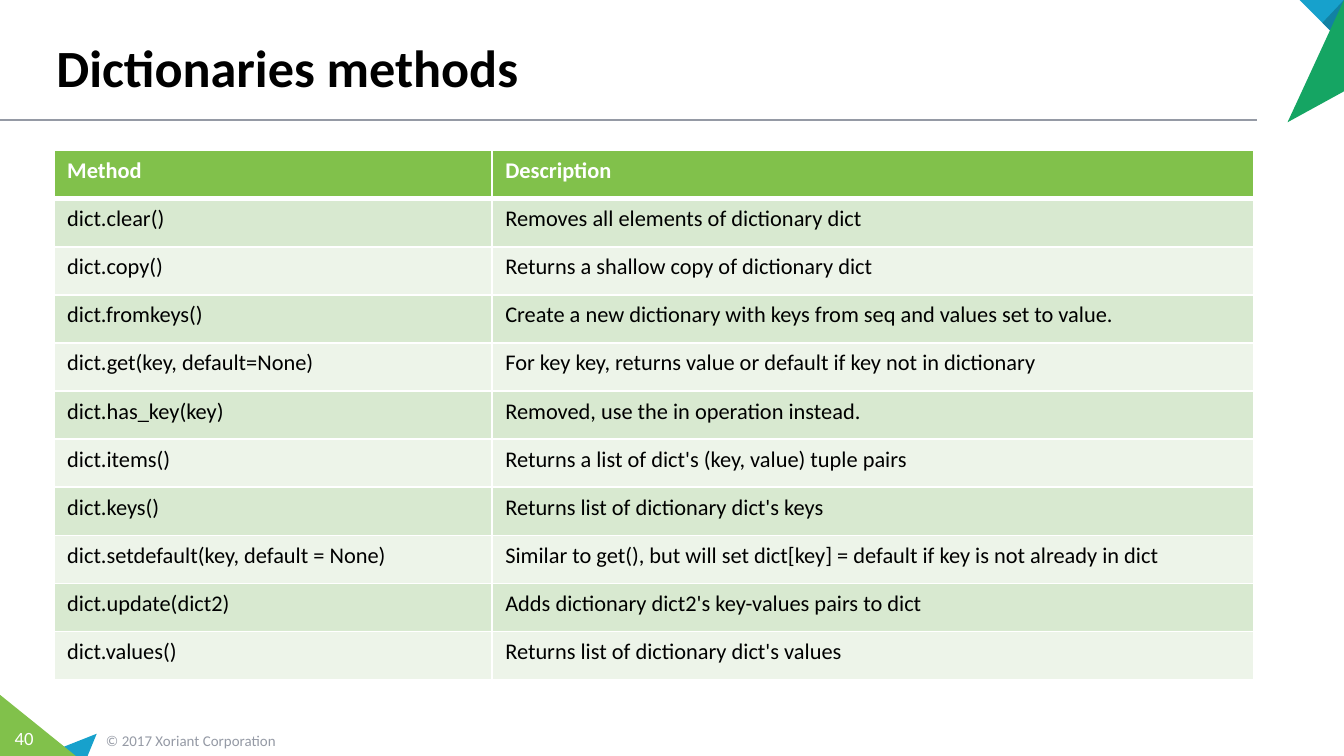
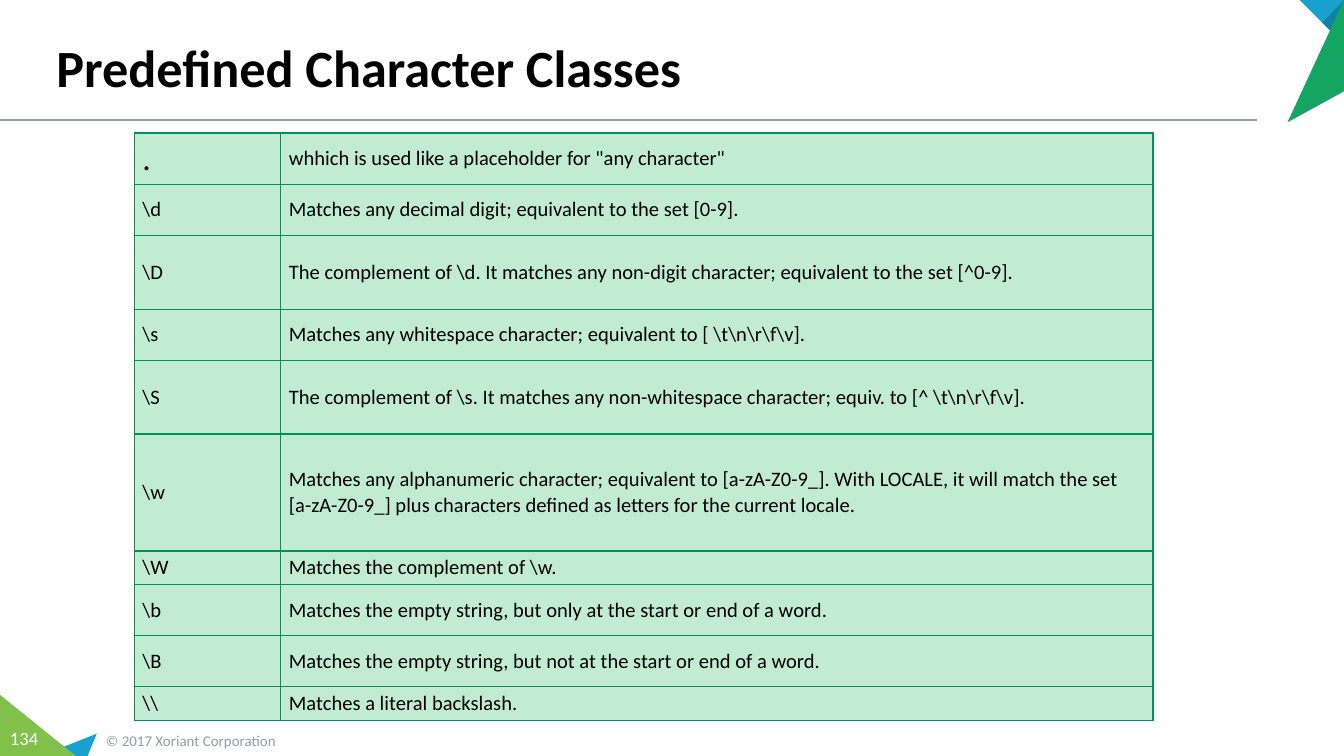
"""Builds two reference slides on Python dictionaries and regular expressions."""
from dataclasses import dataclass
from typing import NamedTuple

from lxml.etree import SubElement as Sub
from pptx import Presentation as Deck
from pptx.dml.color import RGBColor as Rgb
from pptx.enum.shapes import MSO_CONNECTOR as Link
from pptx.enum.text import MSO_ANCHOR as Anchor, MSO_AUTO_SIZE as Fit, PP_ALIGN as Align
from pptx.oxml.ns import qn
from pptx.util import Inches, Pt

FACE = "Calibri"
BLACK, WHITE, GREY = "000000", "FFFFFF", "959AA5"
LIME, GREEN, BLUE, NAVY = "81C14B", "15A563", "17A1CC", "1281A3"
BANDS = ("D8E9D0", "EDF4E9")
MINT, EDGE = "C1ECD2", "009158"


class Box(NamedTuple):
    """Holds a place and a size in inches."""
    left: float
    top: float
    width: float
    height: float


class Font(NamedTuple):
    """Holds the look of a run."""
    size: float
    tint: str = BLACK
    bold: bool = False


class Wedge(NamedTuple):
    """Holds a filled triangle in inches."""
    tint: str
    points: tuple


class Note(NamedTuple):
    """Holds the look of a footer box."""
    box: Box
    font: Font
    side: float
    anchor: Anchor
    align: Align


@dataclass
class Cell:
    """Holds the look of a table cell."""
    font: Font
    fill: str
    edge: str
    line: float
    top: float
    base: float
    inset: tuple = (0.1, 0.05)
    anchor: Anchor = Anchor.TOP


FOOT = (
    Wedge(BLUE, ((0.72, 5.46), (0.65, 5.63), (0.29, 5.63))),
    Wedge(LIME, ((0, 5.17), (0.57, 5.63), (0, 5.63))),
)
CORNER = (
    Wedge(BLUE, ((9.67, 0), (10, 0), (10, 0.33))),
    Wedge(NAVY, ((9.84, 0.17), (10, 0), (10, 0.33))),
    Wedge(GREEN, ((9.58, 0.91), (10, 0), (10, 0.68))),
)
RIGHTS = Note(Box(0.69, 5.39, 2.33, 0.24), Font(8, GREY), 0.1, Anchor.MIDDLE, Align.LEFT)
NUMBER = Note(Box(0, 5.36, 0.36, 0.27), Font(10, WHITE), 0, Anchor.TOP, Align.CENTER)
TITLE = Box(0.32, 0.06, 9, 0.72)

METHODS = (
    ("Method", "Description"),
    ("dict.clear()", "Removes all elements of dictionary dict"),
    ("dict.copy()", "Returns a shallow copy of dictionary dict"),
    ("dict.fromkeys()", "Create a new dictionary with keys from seq and values set to value."),
    ("dict.get(key, default=None)", "For key key, returns value or default if key not in dictionary"),
    ("dict.has_key(key)", "Removed, use the in operation instead."),
    ("dict.items()", "Returns a list of dict's (key, value) tuple pairs"),
    ("dict.keys()", "Returns list of dictionary dict's keys"),
    ("dict.setdefault(key, default = None)",
     "Similar to get(), but will set dict[key] = default if key is not already in dict"),
    ("dict.update(dict2)", "Adds dictionary dict2's key-values pairs to dict"),
    ("dict.values()", "Returns list of dictionary dict's values"),
)
CLASSES = (
    (".", 'whhich is used like a placeholder for "any character"'),
    (r"\d", "Matches any decimal digit; equivalent to the set [0-9]."),
    (r"\D", r"The complement of \d. It matches any non-digit character; equivalent to the set [^0-9]."),
    (r"\s", r"Matches any whitespace character; equivalent to [ \t\n\r\f\v]."),
    (r"\S", r"The complement of \s. It matches any non-whitespace character; equiv. to [^ \t\n\r\f\v]."),
    (r"\w", "Matches any alphanumeric character; equivalent to [a-zA-Z0-9_]. With LOCALE, it will match"
            " the set [a-zA-Z0-9_] plus characters defined as letters for the current locale."),
    (r"\W", r"Matches the complement of \w."),
    (r"\b", "Matches the empty string, but only at the start or end of a word."),
    (r"\B", "Matches the empty string, but not at the start or end of a word."),
    (r"\\", "Matches a literal backslash."),
)
HEIGHTS = (0.38, 0.38, 0.55, 0.38, 0.55, 0.87, 0.25, 0.38, 0.38, 0.25)


def paint(item, tint: str) -> None:
    """Gives a fill or a line format a solid colour."""
    fill = item.fill if hasattr(item, "fill") else item
    fill.solid()
    fill.fore_color.rgb = Rgb.from_string(tint)


def write(para, text: str, font: Font) -> None:
    """Adds one run to a paragraph."""
    run = para.add_run()
    run.text = text
    run.font.name, run.font.size, run.font.bold = FACE, Pt(font.size), font.bold
    run.font.color.rgb = Rgb.from_string(font.tint)


def draw_wedges(slide, wedges: tuple) -> None:
    """Draws triangles as one group."""
    group = slide.shapes.add_group_shape()
    for wedge in wedges:
        first, *rest = [(Inches(x), Inches(y)) for x, y in wedge.points]
        pen = group.shapes.build_freeform(*first, scale=1)
        pen.add_line_segments(rest, close=True)
        shape = pen.convert_to_shape()
        shape.shadow.inherit = False
        paint(shape, wedge.tint)
        shape.line.fill.background()


def draw_note(slide, text: str, note: Note) -> None:
    """Draws a footer text box."""
    frame = slide.shapes.add_textbox(*map(Inches, note.box)).text_frame
    frame.word_wrap = True
    frame.auto_size = Fit.SHAPE_TO_FIT_TEXT
    frame.margin_left = frame.margin_right = Inches(note.side)
    frame.vertical_anchor = note.anchor
    frame.paragraphs[0].alignment = note.align
    write(frame.paragraphs[0], text, note.font)


def draw_rule(slide) -> None:
    """Draws the line below the title."""
    rule = slide.shapes.add_connector(
        Link.STRAIGHT, Inches(0), Inches(0.89), Inches(9.35), Inches(0.89))
    paint(rule.line, GREY)
    rule.line.width = Pt(1)
    Sub(rule._element.spPr, qn("a:effectLst"))


def add_page(deck, title: str, number: int):
    """Adds a slide with its title, bands and footer."""
    slide = deck.slides.add_slide(deck.slide_layouts[5])
    draw_rule(slide)
    draw_wedges(slide, FOOT)
    draw_note(slide, "© 2017 Xoriant Corporation", RIGHTS)
    draw_note(slide, str(number), NUMBER)
    draw_wedges(slide, CORNER)
    head = slide.shapes.title
    head.left, head.top, head.width, head.height = map(Inches, TITLE)
    frame = head.text_frame
    frame.auto_size, frame.vertical_anchor = Fit.NONE, Anchor.BOTTOM
    frame.paragraphs[0].alignment = Align.LEFT
    write(frame.paragraphs[0], title, Font(28, bold=True))
    return slide


def style_cell(cell, text: str, look: Cell) -> None:
    """Writes and formats one table cell."""
    props = cell._tc.get_or_add_tcPr()
    for side, width in zip("LRTB", (look.line, look.line, look.top, look.base)):
        line = Sub(props, qn(f"a:ln{side}"), w=str(Pt(width)))
        Sub(Sub(line, qn("a:solidFill")), qn("a:srgbClr"), val=look.edge)
    paint(cell, look.fill)
    cell.margin_left = cell.margin_right = Inches(look.inset[0])
    cell.margin_top = cell.margin_bottom = Inches(look.inset[1])
    cell.vertical_anchor = look.anchor
    write(cell.text_frame.paragraphs[0], text, look.font)


def draw_table(slide, box: Box, widths: tuple, heights: tuple, rows: tuple, pick) -> None:
    """Draws a table whose cell looks come from pick(row, column)."""
    table = slide.shapes.add_table(len(rows), len(widths), *map(Inches, box)).table
    table.first_row = table.horz_banding = False
    for col, width in zip(table.columns, widths):
        col.width = Inches(width)
    for r, (row, height) in enumerate(zip(rows, heights)):
        table.rows[r].height = Inches(height)
        for c, text in enumerate(row):
            style_cell(table.cell(r, c), text, pick(r, c))


def pick_method(row: int, col: int) -> Cell:
    """Gives the look of a cell in the methods table."""
    if row == 0:
        return Cell(Font(12, WHITE, True), LIME, WHITE, 1, 1, 3)
    return Cell(Font(12), BANDS[(row - 1) % 2], WHITE, 1, 3 if row == 1 else 1, 1)


def pick_class(row: int, col: int) -> Cell:
    """Gives the look of a cell in the classes table."""
    size = 18 if (row, col) == (0, 0) else 11
    return Cell(Font(size), MINT, EDGE, 0.75, 0.75, 0.75, (0.06, 0.03), Anchor.MIDDLE)


def main() -> None:
    """Builds and saves the deck."""
    deck = Deck()
    deck.slide_width = Inches(10)
    deck.slide_height = Inches(10) * 9 // 16
    slide = add_page(deck, "Dictionaries methods", 40)
    box = Box(0.4, 1.12, 8.93, 3.94)
    count = len(METHODS)
    draw_table(slide, box, (3.26, 5.67), (box.height / count,) * count, METHODS, pick_method)
    slide = add_page(deck, "Predefined Character Classes", 134)
    draw_table(slide, Box(1, 0.99, 7.58, 4.37), (1.09, 6.49), HEIGHTS, CLASSES, pick_class)
    deck.save("out.pptx")


if __name__ == "__main__":
    main()
